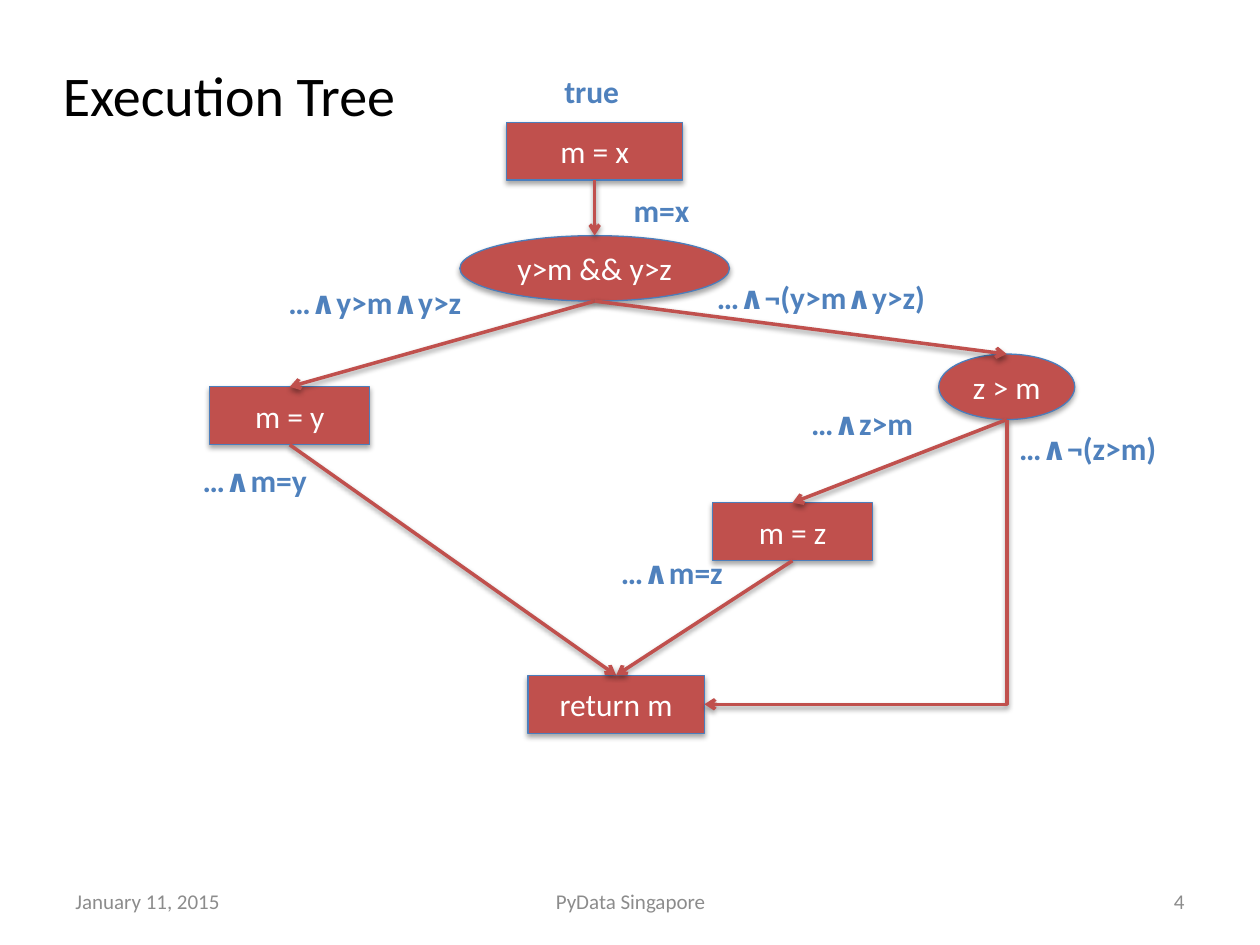
from lxml import etree
from pptx import Presentation
from pptx.dml.color import RGBColor
from pptx.enum.shapes import MSO_CONNECTOR as Connector, MSO_SHAPE as Shape
from pptx.enum.text import MSO_ANCHOR as Anchor, MSO_AUTO_SIZE as AutoSize, PP_ALIGN as Align
from pptx.oxml import parse_xml
from pptx.oxml.ns import nsdecls, qn
from pptx.util import Inches, Pt

RED = RGBColor(0xC0, 0x50, 0x4D)
BLUE = RGBColor(0x4F, 0x81, 0xBD)
OUTLINE = RGBColor(0x4B, 0x7E, 0xBC)
GRAY = RGBColor(0x8C, 0x8C, 0x8C)
WHITE = RGBColor(0xFF, 0xFF, 0xFF)
BLACK = RGBColor(0, 0, 0)

presentation = Presentation()
presentation.slide_width, presentation.slide_height = Inches(10), Inches(7.5)
slide = presentation.slides.add_slide(presentation.slide_layouts[6])
COLUMN = presentation.slide_width / 100
ROW = presentation.slide_height / 75


def write(shape, text, align, anchor, auto_size, **font_format):
    frame = shape.text_frame
    frame_format = {"word_wrap": True, "vertical_anchor": anchor, "auto_size": auto_size}
    for name, value in frame_format.items():
        setattr(frame, name, value)
    paragraph = frame.paragraphs[0]
    paragraph.text, paragraph.alignment = text, align
    color = font_format.pop("color")
    for name, value in {"name": "Calibri", **font_format}.items():
        setattr(paragraph.font, name, value)
    paragraph.font.color.rgb = color


def add_shadow(shape, distance, opacity):
    properties = shape._element.spPr
    for effects in properties.findall(qn("a:effectLst")):
        properties.remove(effects)
    properties.append(parse_xml(
        f'<a:effectLst {nsdecls("a")}><a:outerShdw blurRad="{Pt(3.1)}" dist="{Pt(distance)}" '
        f'dir="5400000" rotWithShape="0"><a:srgbClr val="000000">'
        f'<a:alpha val="{opacity * 1000}"/></a:srgbClr></a:outerShdw></a:effectLst>'))


nodes = {}
for text, kind, center, top, width, height in [
    ("m = x", Shape.RECTANGLE, 47.2, 9.7, 14, 4.6),
    ("m = y", Shape.RECTANGLE, 23, 30.7, 12.7, 4.6),
    ("y>m && y>z", Shape.OVAL, 47.2, 18.7, 21.4, 5.2),
    ("z > m", Shape.OVAL, 79.9, 28.1, 10.8, 5.2),
    ("m = z", Shape.RECTANGLE, 62.9, 39.9, 12.7, 4.6),
    ("return m", Shape.RECTANGLE, 48.9, 53.6, 14, 4.6),
]:
    node = slide.shapes.add_shape(
        kind, int((center - width / 2) * COLUMN), int(top * ROW), int(width * COLUMN), int(height * ROW))
    node.fill.solid()
    node.fill.fore_color.rgb = RED
    node.line.color.rgb = OUTLINE
    node.line.width = Pt(0.75)
    add_shadow(node, 1.8, 35)
    write(node, text, Align.CENTER, Anchor.MIDDLE, AutoSize.NONE, size=Pt(18), color=WHITE)
    nodes[text] = node

for source, target in [
    ("m = x", "y>m && y>z"),
    ("y>m && y>z", "m = y"),
    ("y>m && y>z", "z > m"),
    ("z > m", "m = z"),
    ("m = y", "return m"),
    ("m = z", "return m"),
    ("z > m", "return m"),
]:
    start, end = nodes[source], nodes[target]
    start_x, start_y = start.left + start.width // 2, start.top + start.height
    bent = (source, target) == ("z > m", "return m")
    if bent:
        end_x, end_y = end.left + end.width, end.top + end.height // 2
        across, down = start_x - end_x, end_y - start_y
        left, top = (start_x + end_x - down) // 2, (start_y + end_y - across) // 2
        edge = slide.shapes.add_connector(Connector.ELBOW, left, top, left + down, top + across)
        edge._element.spPr.find(qn("a:prstGeom")).set("prst", "bentConnector2")
        edge._element.spPr.find(qn("a:xfrm")).set("rot", "5400000")
    else:
        edge = slide.shapes.add_connector(
            Connector.STRAIGHT, start_x, start_y, end.left + end.width // 2, end.top)
        if start.auto_shape_type == Shape.RECTANGLE:
            edge.begin_connect(start, 2)
        if end.auto_shape_type == Shape.RECTANGLE:
            edge.end_connect(end, 0)
    edge.line.color.rgb = RED
    edge.line.width = Pt(2)
    etree.SubElement(edge.line._get_or_add_ln(), qn("a:tailEnd"), type="arrow")
    add_shadow(edge, 1.6, 38)

LABEL = {"size": Pt(18), "bold": True, "color": BLUE}
FOOTER = {"size": Pt(12), "color": GRAY}
TITLE = {"size": Pt(32), "color": BLACK}
for text, left, top, width, height, align, font_format in [
    ("Execution Tree", 4, 4.3, 28.8, 6.4, Align.LEFT, TITLE),
    ("true", 43.8, 5.2, 7.1, 4, Align.LEFT, LABEL),
    ("m=x", 49.3, 14.7, 7.2, 4, Align.LEFT, LABEL),
    ("…∧y>m∧y>z", 21.9, 22, 16.9, 4, Align.LEFT, LABEL),
    ("…∧¬(y>m∧y>z)", 55.9, 21.6, 22.1, 4, Align.LEFT, LABEL),
    ("…∧z>m", 63.4, 31.6, 11.6, 4, Align.LEFT, LABEL),
    ("…∧¬(z>m)", 79.9, 33.6, 15.1, 4, Align.LEFT, LABEL),
    ("…∧m=z", 48.3, 43.4, 11.9, 4, Align.LEFT, LABEL),
    ("…∧m=y", 15.1, 36.1, 11.4, 4, Align.LEFT, LABEL),
    ("January 11, 2015", 5, 69.5, 23.3, 4, Align.LEFT, FOOTER),
    ("PyData Singapore", 34.2, 69.5, 31.7, 4, Align.CENTER, FOOTER),
    ("4", 71.7, 69.5, 23.3, 4, Align.RIGHT, FOOTER),
]:
    box = slide.shapes.add_textbox(
        int(left * COLUMN), int(top * ROW), int(width * COLUMN), int(height * ROW))
    footer = font_format is FOOTER
    write(box, text, align, Anchor.MIDDLE if footer else Anchor.TOP,
          AutoSize.NONE if footer else AutoSize.SHAPE_TO_FIT_TEXT, **font_format)

presentation.save("out.pptx")
